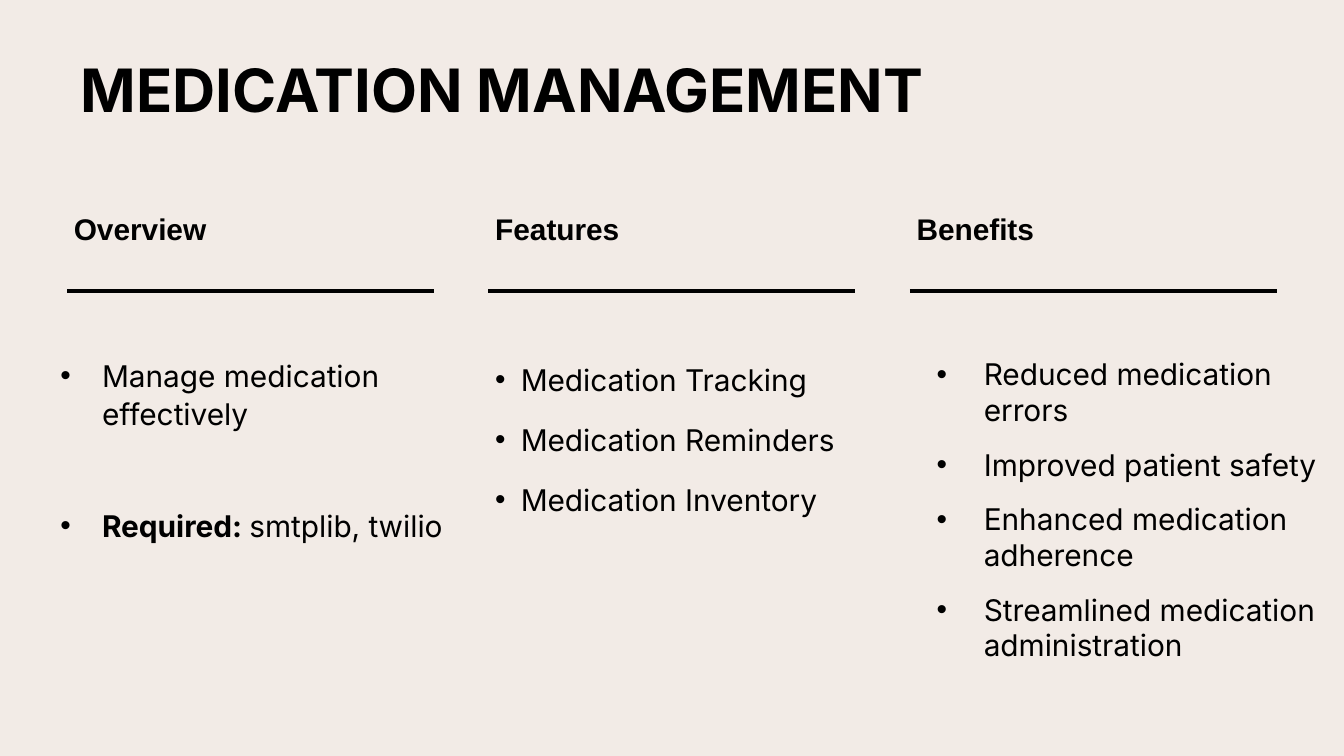
from lxml import etree
from pptx import Presentation, util as u
from pptx.dml.color import RGBColor
from pptx.enum import shapes, text
from pptx.oxml.ns import qn

PX = 4572  # EMU in one px, 200 px to the inch
BLACK = RGBColor(0x00, 0x00, 0x00)
CREAM = RGBColor(0xF2, 0xEB, 0xE6)
MIDDLE, BOTTOM, TOP = (text.MSO_ANCHOR.MIDDLE, text.MSO_ANCHOR.BOTTOM,
                       text.MSO_ANCHOR.TOP)


def px(*lengths):
    return [u.Emu(n * PX) for n in lengths]


def format_frame(tf, insets, anchor):
    tf.word_wrap = True
    tf.auto_size = text.MSO_AUTO_SIZE.NONE
    tf.vertical_anchor = anchor
    (tf.margin_left, tf.margin_top,
     tf.margin_right, tf.margin_bottom) = px(*insets)


def add_text(p, words, font="Inter", size=16, bold=False):
    r = p.add_run()
    r.text = words
    r.font.name, r.font.size, r.font.bold = font, u.Pt(size), bold
    r.font.color.rgb = BLACK


def add_bullet(p, indent, hanging):
    pPr = p._p.get_or_add_pPr()
    pPr.set("marL", str(indent * PX))
    pPr.set("indent", str(-hanging * PX))
    etree.SubElement(pPr, qn("a:buFont")).set("typeface", "Arial")
    etree.SubElement(pPr, qn("a:buChar")).set("char", "•")


def add_title(s, box, words):
    sp = s.shapes.title
    sp.left, sp.top, sp.width, sp.height = px(*box)
    format_frame(sp.text_frame, (20, 20, 20, 20), MIDDLE)
    p = sp.text_frame.paragraphs[0]
    p.alignment = text.PP_ALIGN.LEFT
    add_text(p, words, size=32, bold=True)


def add_heading(s, box, words):
    """Heading at the top of the box, with a rule below it."""
    x, y, w, h = box
    tf = s.shapes.add_textbox(*px(x, y, w, h)).text_frame
    format_frame(tf, (10, 0, 30, 30), BOTTOM)
    add_text(tf.paragraphs[0], words, font="Arial", bold=True)

    rule_y = y + h + 36
    line = s.shapes.add_connector(shapes.MSO_CONNECTOR.STRAIGHT,
                                  *px(x, rule_y, x + w, rule_y))
    line.line.color.rgb = BLACK
    line.line.width = u.Pt(2.25)
    etree.SubElement(line._element.spPr, qn("a:effectLst"))


def add_list(s, box, items, indent, hanging, spacing, right=20, gap=0):
    """Bulleted list; each item is a list of (words, bold) runs."""
    tf = s.shapes.add_textbox(*px(*box)).text_frame
    format_frame(tf, (10, 40, right, 20), TOP)
    for i, runs in enumerate(items):
        p = tf.add_paragraph() if i else tf.paragraphs[0]
        p.line_spacing = spacing
        p.space_after = u.Pt(10)
        if i and gap:
            p.space_before = u.Pt(gap)
        add_bullet(p, indent, hanging)
        for words, bold in runs:
            add_text(p, words, bold=bold)


def plain(*lines):
    return [[(words, False)] for words in lines]


# Heading, list left, list width, list height, items, list format
COLUMNS = [
    ("Overview", 80, 626, 478,
     plain("Manage medication effectively")
     + [[("Required: ", True), ("smtplib, twilio", False)]],
     dict(indent=62, hanging=62, spacing=1.05, right=30, gap=30)),
    ("Features", 727, 546, 478,
     plain("Medication Tracking", "Medication Reminders",
           "Medication Inventory"),
     dict(indent=38, hanging=38, spacing=1.15)),
    ("Benefits", 1354, 626, 566,
     plain("Reduced medication errors", "Improved patient safety",
           "Enhanced medication adherence",
           "Streamlined medication administration"),
     dict(indent=100, hanging=70, spacing=1.0)),
]


def main():
    prs = Presentation()
    prs.slide_width, prs.slide_height = px(2000, 1125)
    s = prs.slides.add_slide(prs.slide_layouts[5])
    s.background.fill.solid()
    s.background.fill.fore_color.rgb = CREAM

    add_title(s, (100, 69, 1800, 126), "MEDICATION MANAGEMENT")

    # Three equal columns between the side margins
    left, right, width = 100, 1900, 546
    step = (right - left - width) // (len(COLUMNS) - 1)
    for i, (heading, x, w, h, items, style) in enumerate(COLUMNS):
        add_heading(s, (left + i * step, 239, width, 158), heading)
        add_list(s, (x, 490, w, h), items, **style)

    prs.save("out.pptx")


if __name__ == "__main__":
    main()
